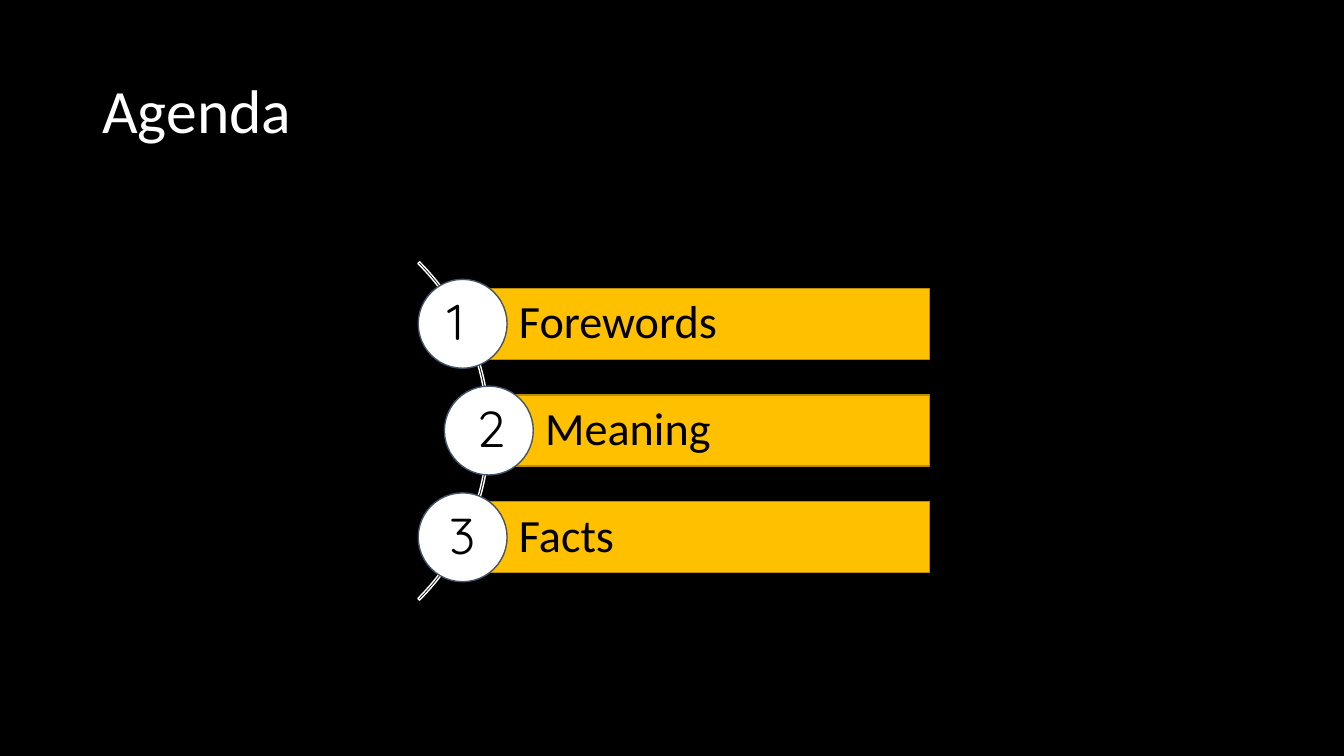
from pptx import Presentation
from pptx.dml.color import RGBColor as Rgb
from pptx.enum.shapes import MSO_SHAPE as Kind
from pptx.enum.text import MSO_ANCHOR as Anchor, MSO_AUTO_SIZE as Fit, PP_ALIGN as Align
from pptx.util import Cm, Pt

HUES = {"black": "000000", "white": "FFFFFF", "gold": "FFC000",
        "rim": "BD8E00", "slate": "44546A"}


class Deck:
    """Holds the style and the current slide, and draws each kind of element."""

    def __init__(self):
        self.deck = Presentation()
        self.deck.slide_width, self.deck.slide_height = Cm(33.87), Cm(19.05)
        self.slide = self.deck.slides.add_slide(self.deck.slide_layouts[6])
        self.paint(self.slide.background.fill, "black")

    def paint(self, fill, hue):
        fill.solid()
        fill.fore_color.rgb = Rgb.from_string(HUES[hue])

    def label(self, frame, text, size, font="Calibri", hue="black", gap=0.9):
        frame.text = text
        line = frame.paragraphs[0]
        line.alignment, line.line_spacing = Align.LEFT, gap
        face = line.runs[0].font
        face.name, face.size = font, Pt(size)
        face.color.rgb = Rgb.from_string(HUES[hue])

    def shape(self, kind, box, fill, edge):
        item = self.slide.shapes.add_shape(kind, *map(Cm, box))
        item.shadow.inherit = False
        if fill:
            self.paint(item.fill, fill)
        else:
            item.fill.background()
        self.paint(item.line.fill, edge)
        item.line.width = Pt(1)
        return item

    def title(self, text, box):
        frame = self.slide.shapes.add_textbox(*map(Cm, box)).text_frame
        frame.word_wrap, frame.vertical_anchor = True, Anchor.MIDDLE
        self.label(frame, text, 44, hue="white")

    def arc(self, box):
        item = self.shape(Kind.BLOCK_ARC, box, None, "white")
        for spot, value in enumerate((189, 27, 0.005)):
            item.adjustments[spot] = value

    def bar(self, text, box):
        frame = self.shape(Kind.RECTANGLE, box, "gold", "rim").text_frame
        frame.word_wrap, frame.vertical_anchor = True, Anchor.MIDDLE
        frame.margin_left = Cm(1.42)
        frame.margin_top = frame.margin_right = frame.margin_bottom = Cm(0.23)
        self.label(frame, text, 33)

    def digit(self, text, box):
        frame = self.slide.shapes.add_textbox(*map(Cm, box)).text_frame
        frame.word_wrap, frame.auto_size = False, Fit.SHAPE_TO_FIT_TEXT
        self.label(frame, text, 36, "Quicksand", gap=1.0)

    def save(self):
        self.deck.save("out.pptx")


def main():
    deck = Deck()
    deck.title("Agenda", (2.33, 1.01, 29.21, 3.68))
    deck.arc((0.28, 4.83, 12.06, 12.06))
    right, top, pitch, tall, disc = 23.42, 8.16, 2.69, 1.79, 2.24
    rows = [("Forewords", 11.66, 11.02), ("Meaning", 12.32, 11.76),
            ("Facts", 11.66, 11.07)]
    for row, (text, hub, left) in enumerate(rows):
        mid = top + row * pitch
        deck.bar(text, (hub, mid - tall / 2, right - hub, tall))
        deck.shape(Kind.OVAL, (hub - disc / 2, mid - disc / 2, disc, disc),
                   "white", "slate")
        deck.digit(str(row + 1), (left, mid - 0.97, 1.27, 1.8))
    deck.save()


if __name__ == "__main__":
    main()
